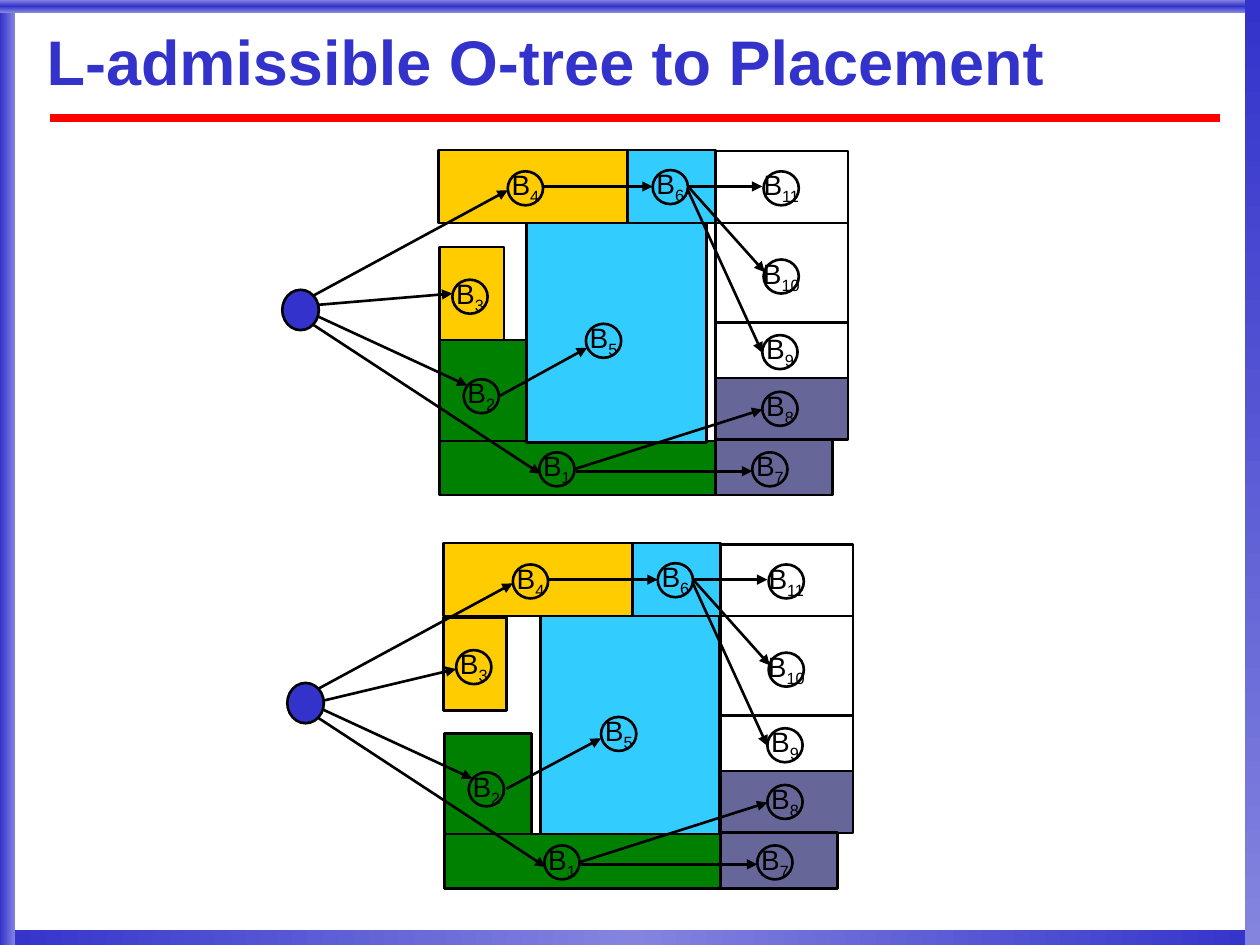
"""Build the slide on turning an L-admissible O-tree into a placement."""
from lxml import etree
from pptx import Presentation
from pptx.dml.color import RGBColor
from pptx.enum.shapes import MSO_CONNECTOR, MSO_SHAPE
from pptx.enum.text import MSO_ANCHOR, MSO_AUTO_SIZE, PP_ALIGN
from pptx.oxml import parse_xml
from pptx.oxml.ns import qn
from pptx.util import Inches, Pt

RECT, OVAL = MSO_SHAPE.RECTANGLE, MSO_SHAPE.OVAL
STRAIGHT = MSO_CONNECTOR.STRAIGHT
MIDDLE, FIT = MSO_ANCHOR.MIDDLE, MSO_AUTO_SIZE.SHAPE_TO_FIT_TEXT
LEFT, CENTER = PP_ALIGN.LEFT, PP_ALIGN.CENTER
BLACK = RGBColor(0x00, 0x00, 0x00)
BLUE = RGBColor(0x33, 0x33, 0xCC)
PALE = RGBColor(0x84, 0x84, 0xDF)
RED = RGBColor(0xFF, 0x00, 0x00)
GOLD = RGBColor(0xFF, 0xCC, 0x00)
GREEN = RGBColor(0x00, 0x80, 0x00)
SKY = RGBColor(0x33, 0xCC, 0xFF)
SLATE = RGBColor(0x66, 0x66, 0x99)
SPACE = 'xmlns:a="http://schemas.openxmlformats.org/drawingml/2006/main"'

deck = Presentation()
deck.slide_width, deck.slide_height = Inches(10), Inches(7.5)
slide = deck.slides.add_slide(deck.slide_layouts[5])
shapes = slide.shapes


def add_box(kind, x, y, w, h, fill=None):
    box = shapes.add_shape(kind, Inches(x), Inches(y), Inches(w), Inches(h))
    box.shadow.inherit = False
    box.line.color.rgb = BLACK
    box.line.width = Pt(1.5)
    if fill is None:
        box.fill.background()
    else:
        box.fill.solid()
        box.fill.fore_color.rgb = fill
    return box


def add_line(x1, y1, x2, y2, color, width):
    line = shapes.add_connector(STRAIGHT, Inches(x1), Inches(y1), Inches(x2), Inches(y2))
    line.line.color.rgb = color
    line.line.width = Pt(width)
    etree.SubElement(line._element.spPr, qn("a:effectLst"))
    return line


bars = [
    (0, 7.38, 10, 0.13, 180, [BLUE, PALE, BLUE]),
    (0, 0, 0.12, 7.5, 180, [PALE, BLUE]),
    (0, 0, 10, 0.1, 90, [PALE, BLUE, PALE]),
    (9.88, 0, 0.12, 7.5, 90, [BLUE, PALE]),
]
for x, y, w, h, angle, tones in bars:
    bar = add_box(RECT, x, y, w, h, BLUE)
    bar.line.fill.background()
    step = 100000 // (len(tones) - 1)
    stops = "".join(
        f'<a:gs pos="{i * step}"><a:srgbClr val="{tone}"/></a:gs>'
        for i, tone in enumerate(tones)
    )
    blend = parse_xml(
        f'<a:gradFill {SPACE} rotWithShape="1"><a:gsLst>{stops}</a:gsLst>'
        f'<a:lin ang="{angle * 60000}" scaled="0"/></a:gradFill>'
    )
    props = bar._element.spPr
    props.replace(props.find(qn("a:solidFill")), blend)

add_line(0.4, 0.94, 9.68, 0.94, RED, 4.5)

title = shapes.title
title.left, title.top = Inches(0.37), Inches(0.15)
title.width, title.height = Inches(9.3), Inches(0.74)
frame = title.text_frame
frame.margin_left = frame.margin_right = frame.margin_top = frame.margin_bottom = 0
frame.vertical_anchor = MIDDLE
frame.word_wrap = True
para = frame.paragraphs[0]
para.alignment = LEFT
para.line_spacing = 0.87
run = para.add_run()
run.text = "L-admissible O-tree to Placement"
run.font.name = "Arial"
run.font.size = Pt(36)
run.font.bold = True
run.font.color.rgb = BLUE
shade = parse_xml(
    f'<a:effectLst {SPACE}><a:outerShdw dist="25400" dir="2700000">'
    '<a:srgbClr val="C0C0C0"/></a:outerShdw></a:effectLst>'
)
run.font._element.find(qn("a:solidFill")).addnext(shade)

blocks = {
    9: (5.68, 2.56, 1.05, 0.45, None),
    8: (5.68, 3, 1.05, 0.49, SLATE),
    4: (3.48, 1.19, 1.5, 0.58, GOLD),
    3: (3.49, 1.96, 0.51, 0.74, GOLD),
    2: (3.49, 2.7, 0.69, 0.8, GREEN),
    1: (3.49, 3.5, 2.19, 0.43, GREEN),
    5: (4.18, 1.77, 1.43, 1.74, SKY),
    6: (4.98, 1.19, 0.7, 0.58, SKY),
    10: (5.68, 1.77, 1.05, 0.79, None),
    11: (5.68, 1.2, 1.05, 0.57, None),
    7: (5.68, 3.49, 0.93, 0.44, SLATE),
}
nodes = {
    8: (6.05, 3.11), 2: (3.68, 3.01), 3: (3.59, 2.22), 7: (5.97, 3.59),
    6: (5.18, 1.35), 5: (4.65, 2.57), 4: (4.03, 1.36), 1: (4.28, 3.59),
    9: (6.05, 2.66), 10: (6.06, 2.06), 11: (6.06, 1.36),
}
edges = {
    4: (2.48, 2.35, 4.03, 1.51),
    2: (2.52, 2.51, 3.71, 3.06),
    1: (2.49, 2.58, 4.29, 3.76),
    6: (4.31, 1.48, 5.18, 1.48),
    5: (3.97, 3.14, 4.66, 2.76),
    8: (4.57, 3.72, 6.05, 3.25),
    7: (4.57, 3.74, 5.97, 3.74),
    11: (5.47, 1.48, 6.05, 1.48),
    10: (5.47, 1.49, 6.07, 2.16),
    9: (5.46, 1.51, 6.05, 2.8),
    3: (2.52, 2.42, 3.59, 2.33),
}
packed = (
    blocks | {3: (3.48, 1.78, 0.5, 0.74, GOLD), 5: (4.25, 1.77, 1.42, 1.73, SKY)},
    nodes | {3: (3.58, 2.04), 5: (4.73, 2.57)},
    edges | {3: (2.53, 2.44, 3.58, 2.19), 5: (3.98, 3.14, 4.73, 2.74)},
)

for dx, dy, plan in [(0, 0, (blocks, nodes, edges)), (0.04, 3.12, packed)]:
    rooms, spots, links = plan
    for x, y, w, h, fill in rooms.values():
        add_box(RECT, x + dx, y + dy, w, h, fill)
    add_box(OVAL, 2.24 + dx, 2.3 + dy, 0.29, 0.32, BLUE)

    for num, (x, y) in spots.items():
        wide = 0.49 if num > 9 else 0.42
        label = shapes.add_textbox(
            Inches(x + dx + 0.14 - wide / 2), Inches(y + dy - 0.08), Inches(wide), Inches(0.41)
        )
        frame = label.text_frame
        frame.word_wrap = False
        frame.auto_size = FIT
        frame.vertical_anchor = MIDDLE
        para = frame.paragraphs[0]
        para.alignment = CENTER
        para.space_before = Pt(10)
        for text in ("B", str(num)):
            run = para.add_run()
            run.text = text
            run.font.name = "Arial"
            run.font.size = Pt(16)
            run.font.color.rgb = BLACK
        run.font._element.set("baseline", "-25000")
        add_box(OVAL, x + dx, y + dy, 0.28, 0.27)

    for x1, y1, x2, y2 in links.values():
        link = add_line(x1 + dx, y1 + dy, x2 + dx, y2 + dy, BLACK, 1.5)
        etree.SubElement(link.line._get_or_add_ln(), qn("a:tailEnd"), type="triangle")

deck.save("out.pptx")
